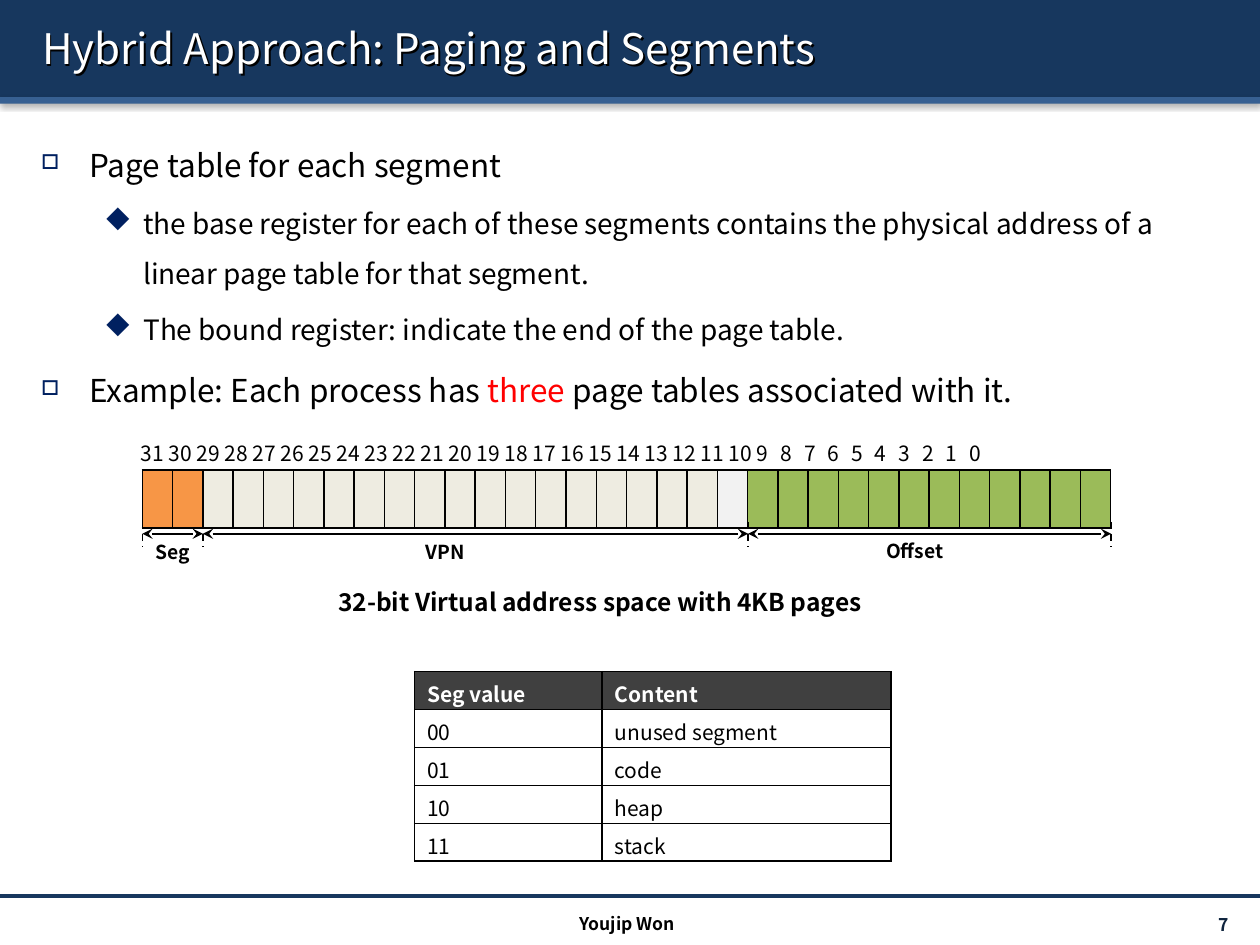
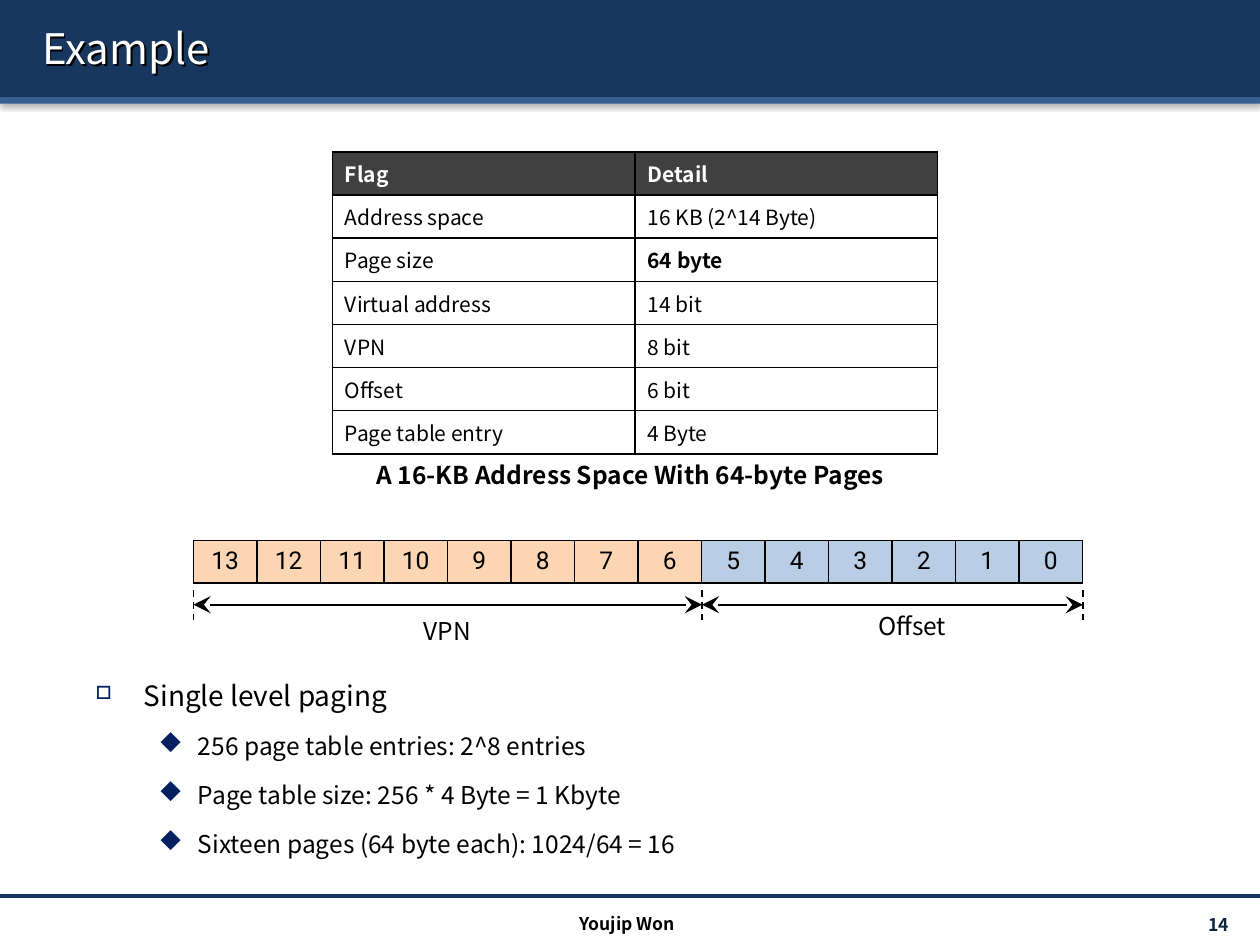
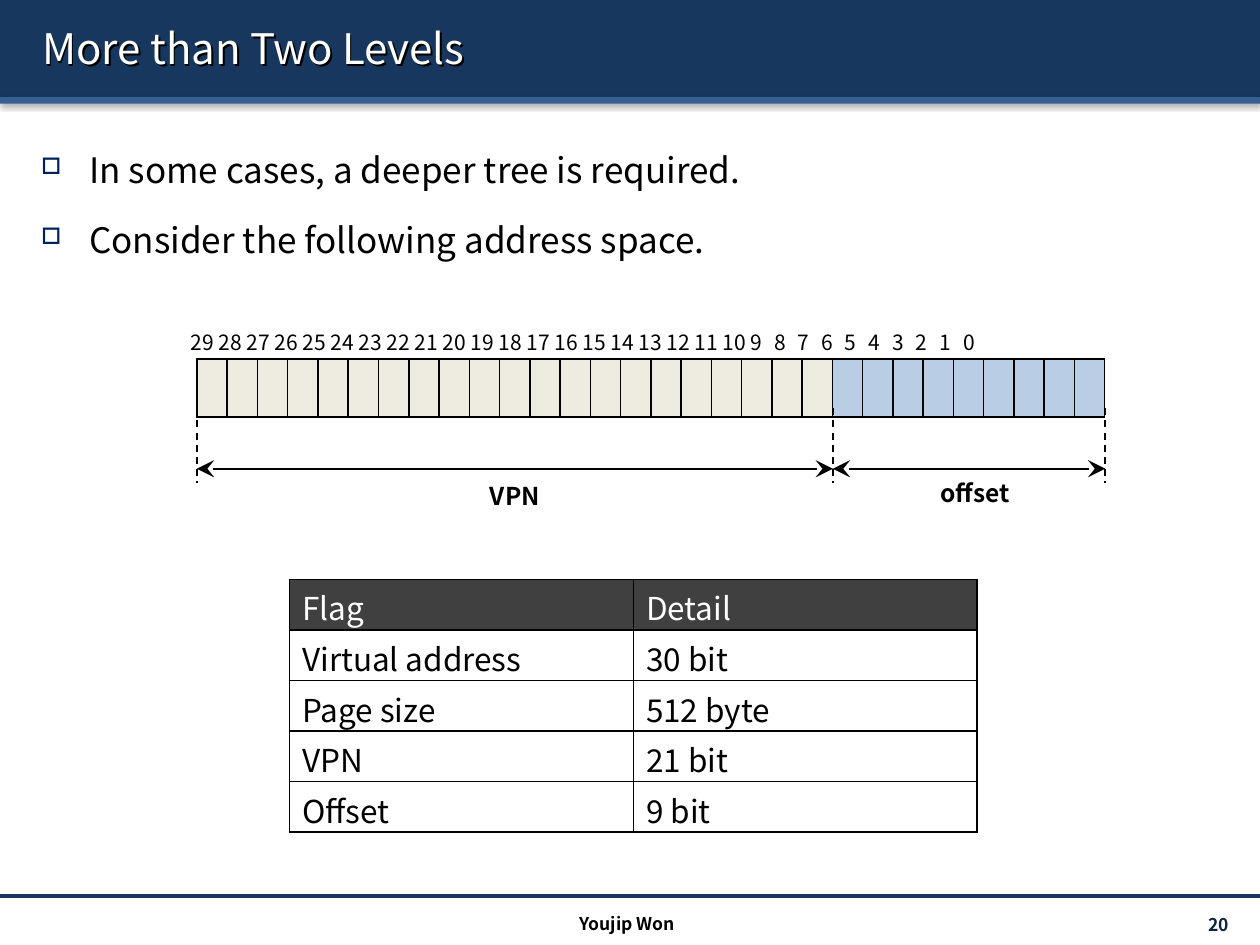
import dataclasses

import lxml.etree
import pptx
import pptx.dml.color
import pptx.enum.shapes
import pptx.enum.text
import pptx.oxml
import pptx.oxml.ns
import pptx.util

Cm = pptx.util.Cm
Pt = pptx.util.Pt
ALIGN = pptx.enum.text.PP_ALIGN
ANCHOR = pptx.enum.text.MSO_ANCHOR

WIDTH, HEIGHT = 25.4, 19.05
FONT = "Noto Sans CJK KR"
NAVY, STEEL, INK = "17375E", "376092", "0F243E"
BLACK, WHITE, RED = "000000", "FFFFFF", "FF0000"
BULLET_COLOR, HEADER_FILL = "002060", "404040"
ORANGE, PEACH, CREAM, PALE = "F79646", "FCD5B5", "EEECE1", "F2F2F2"
GREEN, BLUE = "9BBB59", "B9CDE5"
BODY_BOX = (0.58, 2.44, 24.41, 15.29)
BULLET_FONT = "Wingdings"
BULLETS = [("o", 0.97, 0.97, 65), ("u", 2.06, 0.79, 100)]


@dataclasses.dataclass
class Segment:
    label: str
    fill: str
    bits: int
    label_top: float
    label_shift: float = 0
    last_fill: str = ""

    def fills(self):
        return [self.fill] * (self.bits - 1) + [self.last_fill or self.fill]


def color(value):
    return pptx.dml.color.RGBColor.from_string(value)


def lengths(box):
    return [Cm(round(value, 2)) for value in box]


def add_xml(parent, tag, **attributes):
    element = lxml.etree.SubElement(parent, pptx.oxml.ns.qn(tag))
    for name, value in attributes.items():
        element.set(name, str(value))
    return element


def add_shadow(shape, blur, distance, angle, opacity):
    shape.shadow.inherit = False
    effects = shape._element.spPr.find(pptx.oxml.ns.qn("a:effectLst"))
    shadow = add_xml(effects, "a:outerShdw", blurRad=int(Pt(blur)), dist=int(Pt(distance)),
                     dir=angle * 60000, algn="t", rotWithShape=0)
    shade = add_xml(shadow, "a:srgbClr", val=BLACK)
    add_xml(shade, "a:alpha", val=opacity * 1000)


def style(paragraph, size, text_color=BLACK, bold=False, align=ALIGN.LEFT, font=FONT):
    paragraph.alignment = align
    paragraph.font.name = font
    paragraph.font.size = Pt(size)
    paragraph.font.bold = bold
    paragraph.font.color.rgb = color(text_color)


def add_box(slide, box, anchor=ANCHOR.TOP, wrap=True):
    shape = slide.shapes.add_textbox(*lengths(box))
    shape.text_frame.word_wrap = wrap
    shape.text_frame.vertical_anchor = anchor
    return shape


def add_label(slide, box, text, size, anchor=ANCHOR.TOP, **options):
    shape = add_box(slide, box, anchor)
    paragraph = shape.text_frame.paragraphs[0]
    paragraph.text = text
    style(paragraph, size, **options)
    return shape


def add_line(slide, start, end, line_color=BLACK, width=1, dashed=False, arrow_size=None):
    connector = slide.shapes.add_connector(
        pptx.enum.shapes.MSO_CONNECTOR.STRAIGHT, *lengths(start + end))
    connector.line.color.rgb = color(line_color)
    connector.line.width = Pt(width)
    properties = connector.line._get_or_add_ln()
    if dashed:
        add_xml(properties, "a:prstDash", val="dash")
    if arrow_size:
        for tag in ("a:headEnd", "a:tailEnd"):
            add_xml(properties, tag, type="stealth", w=arrow_size, len=arrow_size)
    add_xml(connector._element.spPr, "a:effectLst")


def add_band(slide, box, fill):
    band = slide.shapes.add_shape(pptx.enum.shapes.MSO_SHAPE.RECTANGLE, *lengths(box))
    band.fill.solid()
    band.fill.fore_color.rgb = color(fill)
    band.line.fill.background()
    add_shadow(band, 3.1, 1.6, 90, 38)


def add_page(presentation, title, number):
    slide = presentation.slides.add_slide(presentation.slide_layouts[6])
    add_band(slide, (0, 0, WIDTH, 1.96), NAVY)
    add_band(slide, (0, 1.96, WIDTH, 0.13), STEEL)
    add_line(slide, (0, 18.06), (WIDTH, 18.06), NAVY, 2)
    heading = add_label(slide, (0.6, 0.15, 24.41, 1.63), title, 24, ANCHOR.MIDDLE,
                        text_color=WHITE)
    add_shadow(heading, 0, 1.5, 45, 100)
    add_label(slide, (8.43, 18.31, 8.43, 0.61), "Youjip Won", 10, ANCHOR.MIDDLE,
              bold=True, align=ALIGN.CENTER)
    add_label(slide, (22.12, 18.33, 2.9, 0.61), str(number), 10, ANCHOR.MIDDLE,
              text_color=INK, bold=True, align=ALIGN.RIGHT)
    return slide


def add_bullets(slide, box, items, highlight="three"):
    frame = add_box(slide, box).text_frame
    for index, (level, size, text) in enumerate(items):
        paragraph = frame.paragraphs[0] if index == 0 else frame.add_paragraph()
        paragraph.level = level
        for part in filter(None, text.partition(highlight)):
            run = paragraph.add_run()
            run.text = part
            if part == highlight:
                run.font.color.rgb = color(RED)
        symbol, margin, hanging, scale = BULLETS[level]
        properties = paragraph._p.get_or_add_pPr()
        properties.set("marL", str(int(Cm(margin))))
        properties.set("indent", str(-int(Cm(hanging))))
        add_xml(add_xml(properties, "a:buClr"), "a:srgbClr", val=BULLET_COLOR)
        add_xml(properties, "a:buSzPct", val=scale * 1000)
        add_xml(properties, "a:buFont", typeface=BULLET_FONT, pitchFamily=2, charset=2)
        add_xml(properties, "a:buChar", char=symbol)
        paragraph.line_spacing = 1.5
        paragraph.space_before = Pt(0.2 * size if index else 0)
        style(paragraph, size)


def add_grid(slide, box, row_count, widths):
    table = slide.shapes.add_table(row_count, len(widths), *lengths(box)).table
    table.first_row = False
    table.horz_banding = False
    for column, width in zip(table.columns, widths):
        column.width = Cm(width)
    return table


def fill_cell(cell, fill):
    properties = cell._tc.get_or_add_tcPr()
    for side in ("a:lnL", "a:lnR", "a:lnT", "a:lnB"):
        border = add_xml(properties, side, w=int(Pt(1)))
        add_xml(add_xml(border, "a:solidFill"), "a:srgbClr", val=BLACK)
    cell.fill.solid()
    cell.fill.fore_color.rgb = color(fill)


def add_facts(slide, box, widths, rows, size, margins, bold_cells):
    table = add_grid(slide, box, len(rows), widths)
    for row_index, row in enumerate(rows):
        for column_index, text in enumerate(row):
            cell = table.cell(row_index, column_index)
            header = row_index == 0
            fill_cell(cell, HEADER_FILL if header else WHITE)
            cell.margin_top, cell.margin_bottom = [Cm(margin) for margin in margins]
            paragraph = cell.text_frame.paragraphs[0]
            paragraph.text = text
            style(paragraph, size, WHITE if header else BLACK, text in bold_cells)


def add_bit_numbers(slide, box, highest):
    paragraph = add_box(slide, box, wrap=False).text_frame.paragraphs[0]
    numbers = range(highest, -1, -1)
    paragraph.text = "\t".join(str(number) for number in numbers)
    tabs = add_xml(paragraph._p.get_or_add_pPr(), "a:tabLst")
    for number in numbers[1:]:
        position = 16 * (highest - max(number, 9)) + 13.5 * max(9 - number, 0)
        add_xml(tabs, "a:tab", pos=int(Pt(position)), algn="l")
    style(paragraph, 12)


def add_address(slide, box, segments, ticks, arrow_top, label_size, bold=True,
                numbers_left=None, arrow_size="lg"):
    left, top, width, height = box
    fills = [fill for segment in segments for fill in segment.fills()]
    bit_width = width / len(fills)
    table = add_grid(slide, box, 1, [bit_width] * len(fills))
    for index, fill in enumerate(fills):
        cell = table.cell(0, index)
        fill_cell(cell, fill)
        if numbers_left is None:
            paragraph = cell.text_frame.paragraphs[0]
            paragraph.text = str(len(fills) - 1 - index)
            style(paragraph, 14, align=ALIGN.CENTER, font="Roboto")
    if numbers_left is not None:
        add_bit_numbers(slide, (left + numbers_left, top - 0.72, 20, 0.76), len(fills) - 1)

    edges = [left]
    for segment in segments:
        start = edges[-1]
        end = start + segment.bits * bit_width
        edges.append(end)
        add_line(slide, (start, top + arrow_top), (end, top + arrow_top),
                 arrow_size=arrow_size)
        center = (start + end) / 2 + segment.label_shift
        add_label(slide, (center - 1.2, top + segment.label_top, 2.4, 0.8), segment.label,
                  label_size, bold=bold, align=ALIGN.CENTER)
    for edge in edges:
        add_line(slide, (edge, top + ticks[0]), (edge, top + ticks[1]), dashed=True)


def build_hybrid(presentation):
    slide = add_page(presentation, "Hybrid Approach: Paging and Segments", 7)
    add_bullets(slide, BODY_BOX, [
        (0, 18, "Page table for each segment"),
        (1, 16, "the base register for each of these segments contains the physical "
                "address of a linear page table for that segment."),
        (1, 16, "The bound register: indicate the end of the page table."),
        (0, 18, "Example: Each process has three page tables associated with it."),
    ])
    add_address(slide, (2.87, 9.47, 19.53, 1.17), [
        Segment("Seg", ORANGE, 2, 1.3),
        Segment("VPN", CREAM, 18, 1.3, -0.6, PALE),
        Segment("Offset", GREEN, 12, 1.27, -0.3),
    ], (1.05, 1.55), 1.29, 11, numbers_left=-0.28, arrow_size="med")
    add_label(slide, (6.5, 11.71, 11.2, 0.86), "32-bit Virtual address space with 4KB pages",
              14, bold=True, align=ALIGN.CENTER)
    add_facts(slide, (8.36, 13.54, 9.6, 3.82), (3.78, 5.82), [
        ("Seg value", "Content"), ("00", "unused segment"), ("01", "code"),
        ("10", "heap"), ("11", "stack"),
    ], 12, (0.13, 0), ("Seg value", "Content"))


def build_example(presentation):
    slide = add_page(presentation, "Example", 14)
    add_facts(slide, (6.7, 3.06, 12.2, 6.09), (6.1, 6.1), [
        ("Flag", "Detail"), ("Address space", "16 KB (2^14 Byte)"),
        ("Page size", "64 byte"), ("Virtual address", "14 bit"), ("VPN", "8 bit"),
        ("Offset", "6 bit"), ("Page table entry", "4 Byte"),
    ], 12, (0.13, 0.13), ("Flag", "Detail", "64 byte"))
    add_label(slide, (7.01, 9.14, 11.4, 0.86), "A 16-KB Address Space With 64-byte Pages",
              14, bold=True, align=ALIGN.CENTER)
    add_address(slide, (3.9, 10.9, 17.93, 0.84), [
        Segment("VPN", PEACH, 8, 1.4),
        Segment("Offset", BLUE, 6, 1.29, 0.4),
    ], (0.99, 1.6), 1.29, 14, bold=False)
    add_bullets(slide, (1.68, 13.21, 17.7, 4.39), [
        (0, 16, "Single level paging"),
        (1, 14, "256 page table entries: 2^8 entries"),
        (1, 14, "Page table size: 256 * 4 Byte = 1 Kbyte"),
        (1, 14, "Sixteen pages (64 byte each): 1024/64 = 16"),
    ])


def build_levels(presentation):
    slide = add_page(presentation, "More than Two Levels", 20)
    add_bullets(slide, BODY_BOX, [
        (0, 20, "In some cases, a deeper tree is required."),
        (0, 20, "Consider the following address space."),
    ])
    add_address(slide, (3.97, 7.24, 18.31, 1.17), [
        Segment("VPN", CREAM, 21, 2.34),
        Segment("offset", BLUE, 9, 2.28, 0.13),
    ], (0.99, 2.49), 2.21, 14, numbers_left=-0.38)
    add_facts(slide, (5.84, 11.68, 13.87, 5.1), (6.93, 6.93), [
        ("Flag", "Detail"), ("Virtual address", "30 bit"), ("Page size", "512 byte"),
        ("VPN", "21 bit"), ("Offset", "9 bit"),
    ], 18, (0.1, 0), ())


def main():
    presentation = pptx.Presentation()
    presentation.slide_width = Cm(WIDTH)
    presentation.slide_height = Cm(HEIGHT)
    build_hybrid(presentation)
    build_example(presentation)
    build_levels(presentation)
    presentation.save("out.pptx")


if __name__ == "__main__":
    main()
